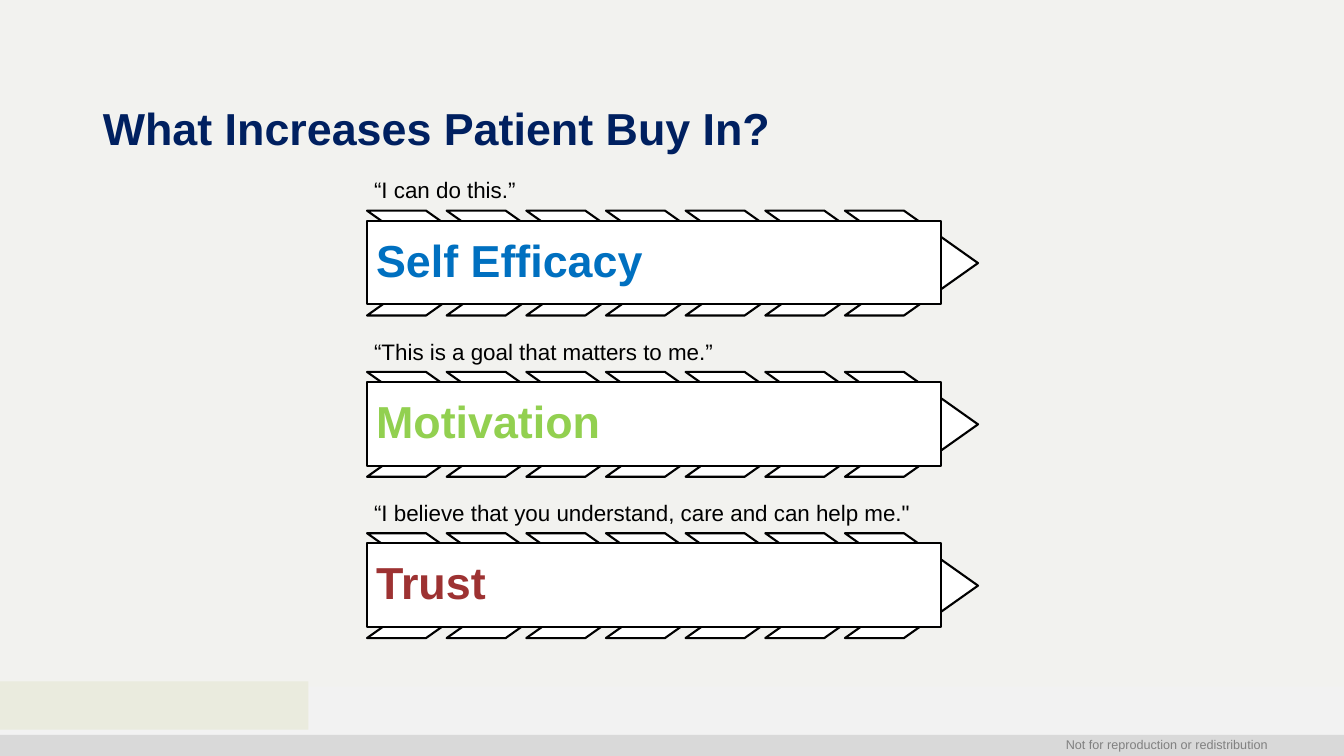
from dataclasses import dataclass

import pptx
import pptx.dml.color
import pptx.enum.shapes
import pptx.enum.text
import pptx.util

Inches = pptx.util.Inches
Pt = pptx.util.Pt
Shape = pptx.enum.shapes.MSO_SHAPE
Anchor = pptx.enum.text.MSO_ANCHOR
Align = pptx.enum.text.PP_ALIGN


@dataclass(frozen=True)
class Theme:
    font: str = "Arial"
    background: str = "F2F2EF"
    band: str = "F2F2F2"
    footer_bar: str = "D9D9D9"
    accent_block: str = "EAEBDE"
    title: str = "002060"
    quote: str = "000000"
    footer: str = "808080"
    outline: str = "000000"
    panel: str = "FFFFFF"
    efficacy: str = "0070C0"
    motivation: str = "92D050"
    trust: str = "9D3232"
    heading_size: int = 32
    quote_size: int = 16
    footer_size: int = 9
    line_width: float = 1.5


THEME = Theme()

FACTORS = [
    ("“I can do this.”", "Self Efficacy", THEME.efficacy),
    ("“This is a goal that matters to me.”", "Motivation", THEME.motivation),
    ("“I believe that you understand, care and can help me.\"", "Trust", THEME.trust),
]
FACTOR_LEFT = 3.64
FACTOR_TOP = 1.58
FACTOR_PITCH = 1.6
QUOTE_HEIGHT = 0.51
CHEVRON_COUNT = 7
CHEVRON_PITCH = 0.79
CHEVRON_POINT = 0.706


def rgb(color):
    return pptx.dml.color.RGBColor.from_string(color)


def add_block(slide, kind, left, top, width, height, fill, outline=None):
    sp = slide.shapes.add_shape(
        kind, Inches(left), Inches(top), Inches(width), Inches(height))
    sp.shadow.inherit = False
    sp.fill.solid()
    sp.fill.fore_color.rgb = rgb(fill)
    if outline:
        sp.line.color.rgb = rgb(outline)
        sp.line.width = Pt(THEME.line_width)
    else:
        sp.line.fill.background()
    return sp


def add_text_box(slide, left, top, width, height):
    return slide.shapes.add_textbox(
        Inches(left), Inches(top), Inches(width), Inches(height))


def write(sp, text, size, color, bold=False, align=Align.LEFT,
          anchor=Anchor.TOP, inset=None, spacing=None):
    """Put one formatted paragraph into a shape, with an optional equal inset."""
    tf = sp.text_frame
    tf.word_wrap = True
    tf.vertical_anchor = anchor
    if inset is not None:
        tf.margin_left = tf.margin_top = Inches(inset)
        tf.margin_right = tf.margin_bottom = Inches(inset)
    p = tf.paragraphs[0]
    p.text = text
    p.alignment = align
    p.line_spacing = spacing
    p.font.name = THEME.font
    p.font.size = Pt(size)
    p.font.bold = bold
    p.font.color.rgb = rgb(color)


def add_footer(slide):
    add_block(slide, Shape.RECTANGLE, 0, 6.81, 13.33, 0.69, THEME.band)
    add_block(slide, Shape.RECTANGLE, 0, 7.29, 13.33, 0.21, THEME.footer_bar)
    sp = add_text_box(slide, 0.89, 7.26, 11.78, 0.2)
    write(sp, "Not for reproduction or redistribution",
          THEME.footer_size, THEME.footer, align=Align.RIGHT)


def set_title(slide, text):
    sp = slide.shapes.title
    sp.left, sp.top = Inches(0.92), Inches(0.13)
    sp.width, sp.height = Inches(11.5), Inches(1.45)
    write(sp, text, THEME.heading_size, THEME.title, bold=True,
          anchor=Anchor.BOTTOM)


def add_factor(slide, top, quote, name, color):
    """Add a quote above a named panel that lies on a row of chevrons."""
    sp = add_text_box(slide, FACTOR_LEFT, top, 5.62, QUOTE_HEIGHT)
    write(sp, quote, THEME.quote_size, THEME.quote,
          anchor=Anchor.BOTTOM, inset=0.07, spacing=0.9)

    row_top = top + QUOTE_HEIGHT
    for i in range(CHEVRON_COUNT):
        chevron = add_block(
            slide, Shape.CHEVRON, FACTOR_LEFT + i * CHEVRON_PITCH, row_top,
            1.32, 1.04, THEME.panel, THEME.outline)
        chevron.adjustments[0] = CHEVRON_POINT

    panel = add_block(slide, Shape.RECTANGLE, FACTOR_LEFT, row_top + 0.1,
                      5.69, 0.83, THEME.panel, THEME.outline)
    write(panel, name, THEME.heading_size, color, bold=True,
          anchor=Anchor.MIDDLE, inset=0.09, spacing=0.9)


def main():
    prs = pptx.Presentation()
    prs.slide_width, prs.slide_height = Inches(13.33), Inches(7.5)
    slide = prs.slides.add_slide(prs.slide_layouts.get_by_name("Title Only"))
    slide.background.fill.solid()
    slide.background.fill.fore_color.rgb = rgb(THEME.background)

    add_footer(slide)
    set_title(slide, "What Increases Patient Buy In?")
    for i, (quote, name, color) in enumerate(FACTORS):
        add_factor(slide, FACTOR_TOP + i * FACTOR_PITCH, quote, name, color)
    add_block(slide, Shape.RECTANGLE, 0, 6.76, 3.06, 0.48, THEME.accent_block)

    prs.save("out.pptx")


if __name__ == "__main__":
    main()
